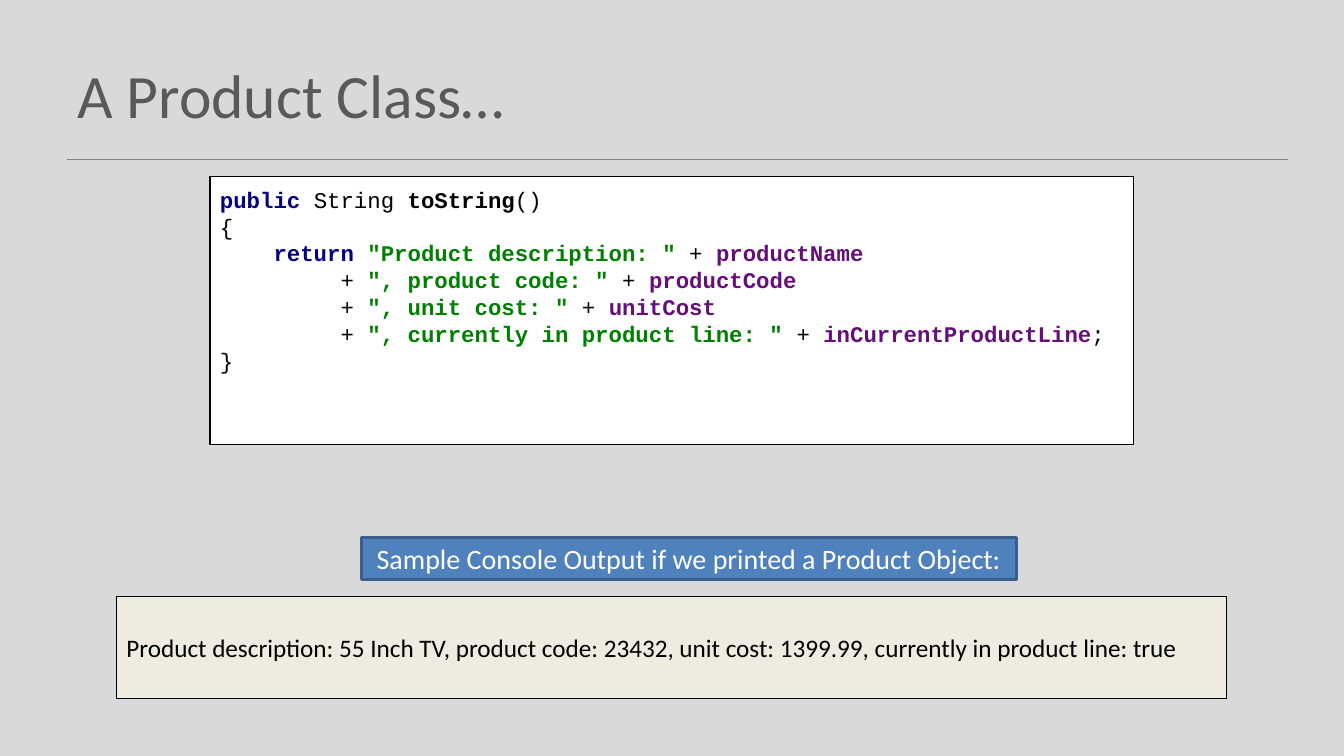
"""Build the slide on the toString method of a Product class."""
from lxml.etree import SubElement
from pptx import Presentation
from pptx.dml.color import RGBColor
from pptx.enum.shapes import MSO_CONNECTOR, MSO_SHAPE
from pptx.enum.text import MSO_ANCHOR, MSO_AUTO_SIZE, PP_ALIGN
from pptx.oxml.ns import qn
from pptx.util import Pt

PX = 9525
BACKGROUND = RGBColor(0xD9, 0xD9, 0xD9)
TITLE_GREY = RGBColor(0x59, 0x59, 0x59)
RULE_GREY = RGBColor(0x80, 0x80, 0x80)
BLACK = RGBColor(0x00, 0x00, 0x00)
WHITE = RGBColor(0xFF, 0xFF, 0xFF)
CREAM = RGBColor(0xEE, 0xEC, 0xE1)
BLUE = RGBColor(0x4F, 0x81, 0xBD)
DARK_BLUE = RGBColor(0x3A, 0x5F, 0x8C)
KEYWORD = RGBColor(0x00, 0x00, 0x80)
STRING = RGBColor(0x00, 0x80, 0x00)
FIELD = RGBColor(0x66, 0x0E, 0x7A)

CODE_LINES = [
    [("public ", KEYWORD, True), ("String ", BLACK, False),
     ("toString", BLACK, True), ("()", BLACK, False)],
    [("{", BLACK, False)],
    [("    return ", KEYWORD, True), ('"Product description: " ', STRING, True),
     ("+ ", BLACK, False), ("productName", FIELD, True)],
    [("         + ", BLACK, False), ('", product code: " ', STRING, True),
     ("+ ", BLACK, False), ("productCode", FIELD, True)],
    [("         + ", BLACK, False), ('", unit cost: " ', STRING, True),
     ("+ ", BLACK, False), ("unitCost", FIELD, True)],
    [("         + ", BLACK, False), ('", currently in product line: " ', STRING, True),
     ("+ ", BLACK, False), ("inCurrentProductLine", FIELD, True), (";", BLACK, False)],
    [("}", BLACK, False)],
]


def add_run(paragraph, text, font_name, size, color, bold=False):
    run = paragraph.add_run()
    run.text = text
    run.font.name = font_name
    run.font.size = Pt(size)
    run.font.bold = bold
    run.font.color.rgb = color


def add_panel(slide, box, fill, line, line_width, anchor, align=PP_ALIGN.LEFT):
    panel = slide.shapes.add_shape(MSO_SHAPE.RECTANGLE, *(n * PX for n in box))
    panel.shadow.inherit = False
    panel.fill.solid()
    panel.fill.fore_color.rgb = fill
    panel.line.color.rgb = line
    panel.line.width = Pt(line_width)
    frame = panel.text_frame
    frame.word_wrap = True
    frame.vertical_anchor = anchor
    frame.paragraphs[0].alignment = align
    return frame


prs = Presentation()
prs.slide_width = 1280 * PX
prs.slide_height = 720 * PX
slide = prs.slides.add_slide(prs.slide_layouts[5])
slide.background.fill.solid()
slide.background.fill.fore_color.rgb = BACKGROUND

title_rule = slide.shapes.add_connector(
    MSO_CONNECTOR.STRAIGHT, 64 * PX, 152 * PX, 1227 * PX, 152 * PX)
title_rule.line.color.rgb = RULE_GREY
title_rule.line.width = Pt(1)
SubElement(title_rule._element.spPr, qn("a:effectLst"))

title = slide.shapes.title
title.left, title.top, title.width, title.height = (n * PX for n in (64, 29, 1152, 120))
title.text_frame.auto_size = MSO_AUTO_SIZE.NONE
title.text_frame.vertical_anchor = MSO_ANCHOR.MIDDLE
heading = title.text_frame.paragraphs[0]
heading.alignment = PP_ALIGN.LEFT
add_run(heading, "A Product Class…", "Calibri", 44, TITLE_GREY)

code = add_panel(slide, (200, 168, 880, 255), WHITE, BLACK, 0.75, MSO_ANCHOR.TOP)
code.margin_top = 9 * PX
for number, code_line in enumerate(CODE_LINES):
    paragraph = code.add_paragraph() if number else code.paragraphs[0]
    paragraph.alignment = PP_ALIGN.LEFT
    paragraph.line_spacing = Pt(19.2)
    for text, color, bold in code_line:
        add_run(paragraph, text, "Courier New", 16, color, bold)

console = add_panel(slide, (111, 568, 1057, 97), CREAM, BLACK, 0.75, MSO_ANCHOR.MIDDLE)
add_run(console.paragraphs[0],
        "Product description: 55 Inch TV, product code: 23432, unit cost: 1399.99, "
        "currently in product line: true", "Calibri", 18, BLACK)

caption = add_panel(slide, (344, 512, 624, 40), BLUE, DARK_BLUE, 2,
                    MSO_ANCHOR.MIDDLE, PP_ALIGN.CENTER)
add_run(caption.paragraphs[0], "Sample Console Output if we printed a Product Object:",
        "Calibri", 20, WHITE)

prs.save("out.pptx")
